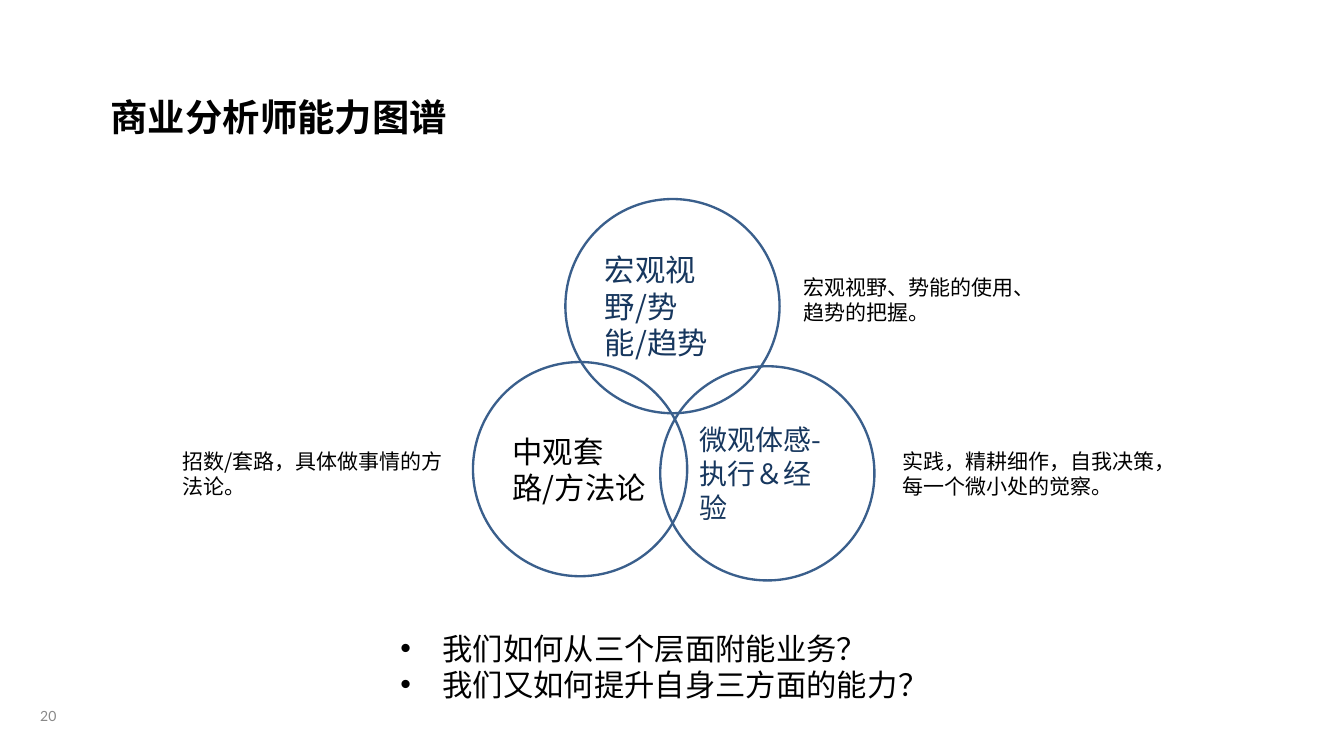
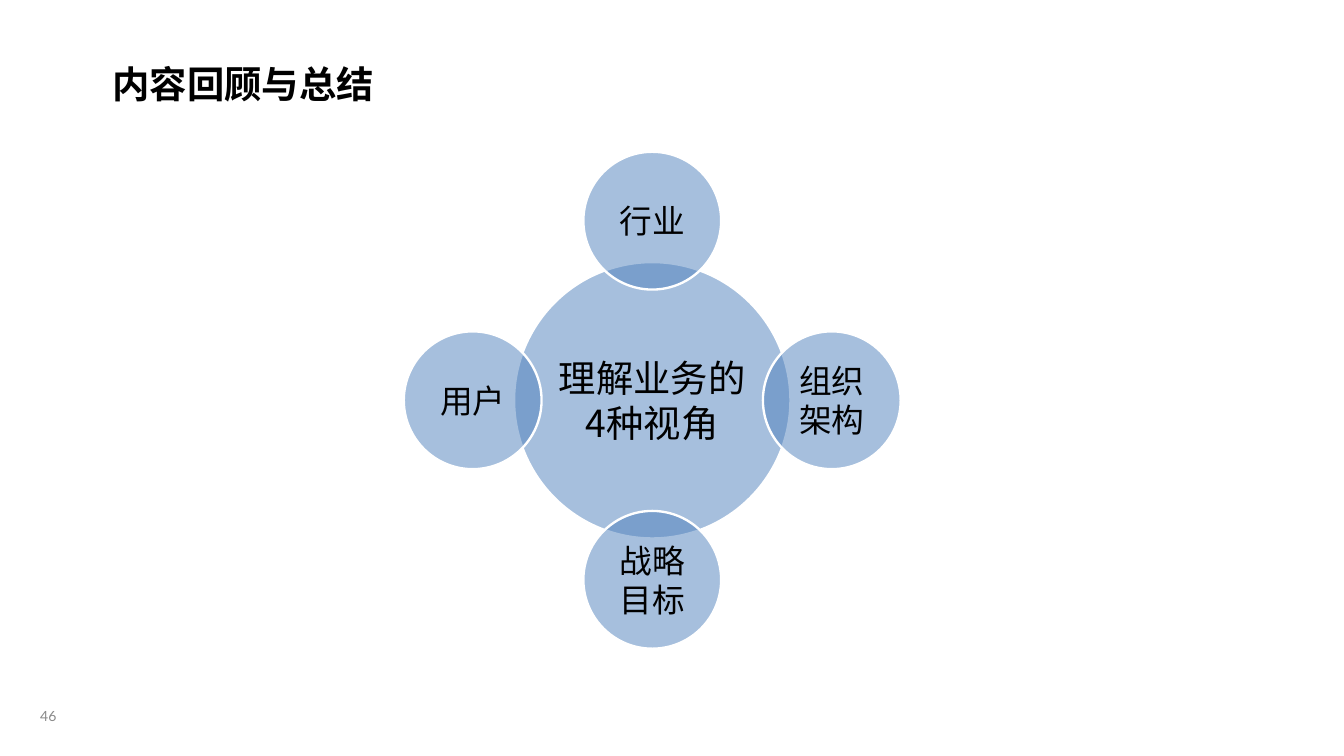
import math
from dataclasses import dataclass

from lxml import etree
from pptx import Presentation
from pptx.dml.color import RGBColor
from pptx.enum.shapes import MSO_SHAPE
from pptx.enum.text import MSO_ANCHOR, MSO_AUTO_SIZE, PP_ALIGN
from pptx.oxml.ns import qn
from pptx.util import Pt

OVAL = MSO_SHAPE.OVAL
TOP, MIDDLE = MSO_ANCHOR.TOP, MSO_ANCHOR.MIDDLE
LEFT, CENTER = PP_ALIGN.LEFT, PP_ALIGN.CENTER
GROW = MSO_AUTO_SIZE.SHAPE_TO_FIT_TEXT


@dataclass(frozen=True)
class Theme:
    font: str = "Noto Sans CJK SC"
    mark_font: str = "Calibri"
    number_font: str = "Lato"
    black: str = "000000"
    navy: str = "17375E"
    ring: str = "3A5F8C"
    bubble: str = "4F81BD"
    white: str = "FFFFFF"
    grey: str = "898989"
    title: int = 32
    hub: int = 32
    satellite: int = 28
    large: int = 26
    medium: int = 24
    caption: int = 18
    number: int = 12
    line: int = 2
    alpha: int = 50


THEME = Theme()

# Ability map: rings as (text, left, top, size, colour)
RING_SIZE = 183.6
RINGS = [
    ("宏观视野/势能/趋势", 484.6, 170.6, THEME.large, THEME.navy),
    ("中观套路/方法论", 405.4, 310.3, THEME.large, THEME.black),
    ("微观体感-执行＆经验", 565.9, 313.9, THEME.medium, THEME.navy),
]
# Captions as (text, left, top, width)
CAPTION_HEIGHT = 51
CAPTIONS = [
    ("宏观视野、势能的使用、趋势的把握。", 681.8, 231.8, 212.4),
    ("实践，精耕细作，自我决策，每一个微小处的觉察。", 766.8, 380.9, 249.1),
    ("招数/套路，具体做事情的方法论。", 149, 380.9, 249.1),
]
# Each question is a list of (text, font) spans
QUESTIONS = [
    [("我们如何从三个层面附能业务？", THEME.font)],
    [("我们又如何提升自身三方面的能力", THEME.font), ("？", THEME.mark_font)],
]
QUESTION_INDENT = 36

# Summary: four views around a hub, clockwise from the top
HUB = "理解业务的4种视角"
HUB_CENTER = (559.1, 343.1)
HUB_SIZE, VIEW_SIZE, ORBIT = 236.9, 118.1, 153.9
VIEWS = ["行业", "组织架构", "战略目标", "用户"]


def write(shape, paragraphs, size, color=THEME.black, bold=False,
          align=LEFT, anchor=TOP, insets=(7.2, 3.6)):
    """Fill a shape with paragraphs, each a list of (text, font) spans."""
    frame = shape.text_frame
    frame.word_wrap = True
    frame.vertical_anchor = anchor
    frame.margin_left = frame.margin_right = Pt(insets[0])
    frame.margin_top = frame.margin_bottom = Pt(insets[1])
    for index, spans in enumerate(paragraphs):
        para = frame.add_paragraph() if index else frame.paragraphs[0]
        para.alignment = align
        for text, font in spans:
            span = para.add_run()
            span.text = text
            span.font.size = Pt(size)
            span.font.bold = bold
            span.font.color.rgb = RGBColor.from_string(color)
            span.font.name = font
            east_asian = etree.SubElement(span.font._element, qn("a:ea"))
            east_asian.set("typeface", font)
    return frame


def plain(text, font=THEME.font):
    return [[(text, font)]]


def add_text(page, bounds, paragraphs, size, grow=True, **style):
    box = page.shapes.add_textbox(*map(Pt, bounds))
    frame = write(box, paragraphs, size, **style)
    if grow:
        frame.auto_size = GROW
    return frame


def add_circle(page, left, top, diameter, line_color, fill=None):
    circle = page.shapes.add_shape(OVAL, *map(Pt, (left, top, diameter, diameter)))
    circle.shadow.inherit = False
    circle.line.color.rgb = RGBColor.from_string(line_color)
    circle.line.width = Pt(THEME.line)
    if fill is None:
        circle.fill.background()
    else:
        circle.fill.solid()
        circle.fill.fore_color.rgb = RGBColor.from_string(fill)
        color = circle._element.spPr.find(qn("a:solidFill"))[0]
        etree.SubElement(color, qn("a:alpha")).set("val", str(THEME.alpha * 1000))
    return circle


def add_bubble(page, text, center, diameter, size):
    left, top = (middle - diameter / 2 for middle in center)
    bubble = add_circle(page, left, top, diameter, THEME.white, THEME.bubble)
    write(bubble, plain(text), size, align=CENTER, anchor=MIDDLE, insets=(3, 3))


def add_bullets(frame, indent):
    for para in frame.paragraphs:
        properties = para._p.get_or_add_pPr()
        properties.set("marL", str(Pt(indent)))
        properties.set("indent", str(-Pt(indent)))
        etree.SubElement(properties, qn("a:buFont")).set("typeface", "Arial")
        etree.SubElement(properties, qn("a:buChar")).set("char", "•")


def add_page(deck, title, title_bounds, number):
    page = deck.slides.add_slide(deck.slide_layouts[6])
    add_text(page, (14.4, 596.2, 54, 34.6), plain(number, THEME.number_font),
             THEME.number, grow=False, color=THEME.grey, align=CENTER,
             anchor=MIDDLE, insets=(5.8, 2.9))
    add_text(page, title_bounds, plain(title), THEME.title, bold=True)
    return page


def build_ability_map(deck):
    page = add_page(deck, "商业分析师能力图谱", (87.8, 77, 523.4, 46), "20")
    for text, left, top, size, color in RINGS:
        ring = add_circle(page, left, top, RING_SIZE, THEME.ring)
        write(ring, plain(text), size, color=color, anchor=MIDDLE)
    for text, left, top, width in CAPTIONS:
        add_text(page, (left, top, width, CAPTION_HEIGHT), plain(text), THEME.caption)
    questions = add_text(page, (336.2, 536.4, 472.3, 69.8), QUESTIONS, THEME.large)
    add_bullets(questions, QUESTION_INDENT)


def build_summary(deck):
    page = add_page(deck, "内容回顾与总结", (89.3, 49, 513.4, 46), "46")
    add_bubble(page, HUB, HUB_CENTER, HUB_SIZE, THEME.hub)
    for index, text in enumerate(VIEWS):
        angle = math.tau * index / len(VIEWS) - math.pi / 2
        center = (HUB_CENTER[0] + ORBIT * math.cos(angle),
                  HUB_CENTER[1] + ORBIT * math.sin(angle))
        add_bubble(page, text, center, VIEW_SIZE, THEME.satellite)


def main():
    deck = Presentation()
    deck.slide_width, deck.slide_height = Pt(1152), Pt(648)
    build_ability_map(deck)
    build_summary(deck)
    deck.save("out.pptx")


if __name__ == "__main__":
    main()
